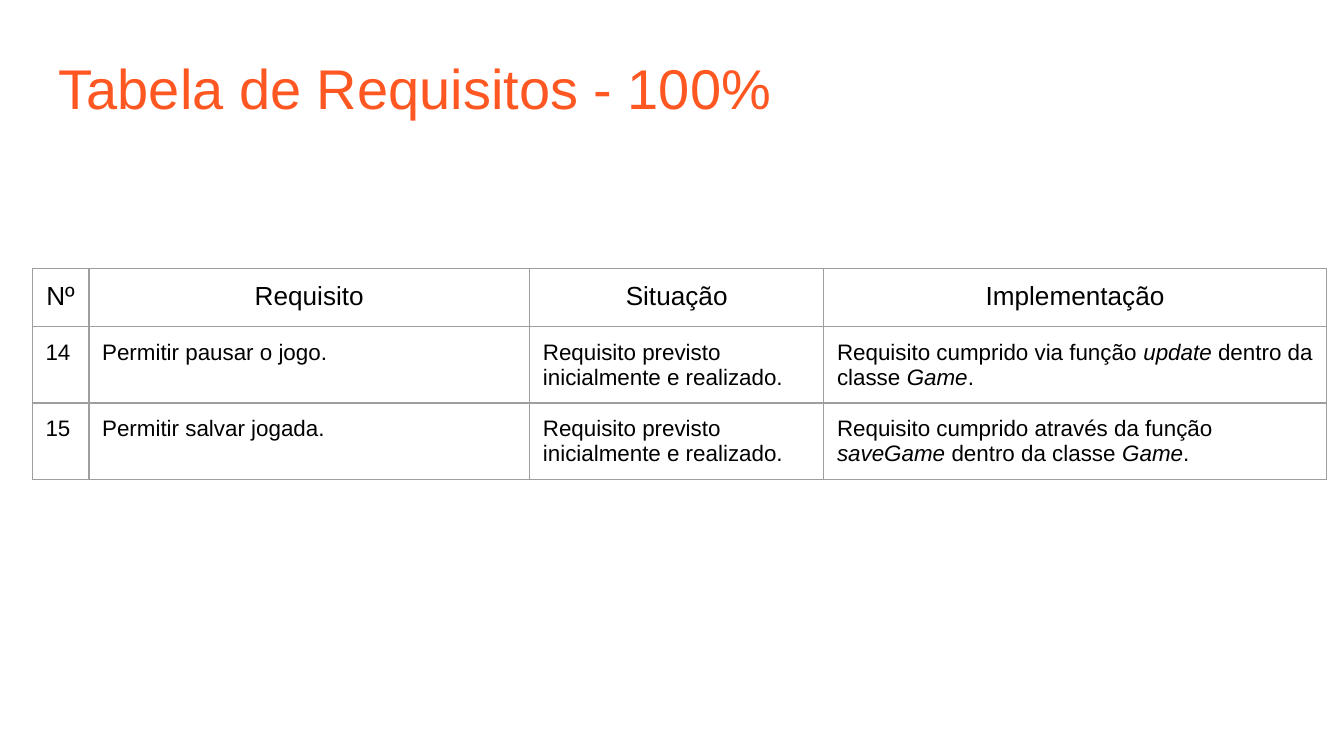
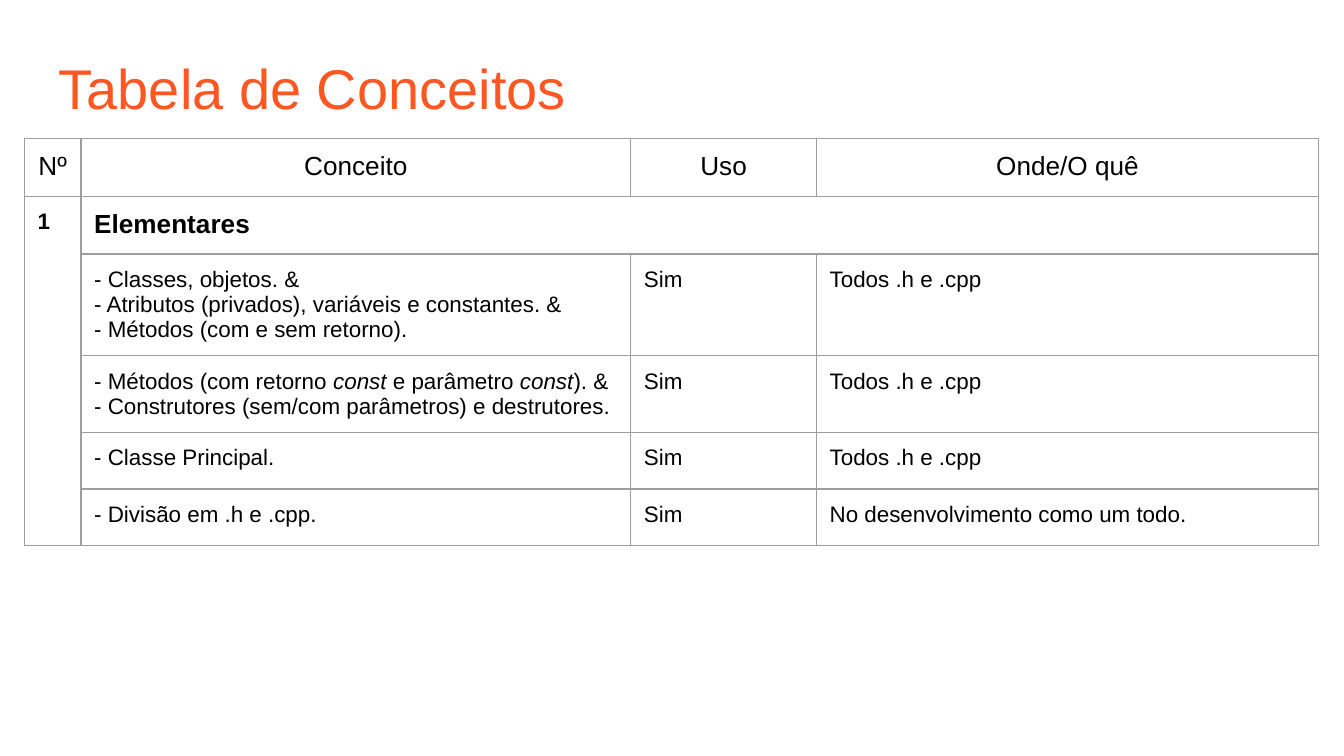
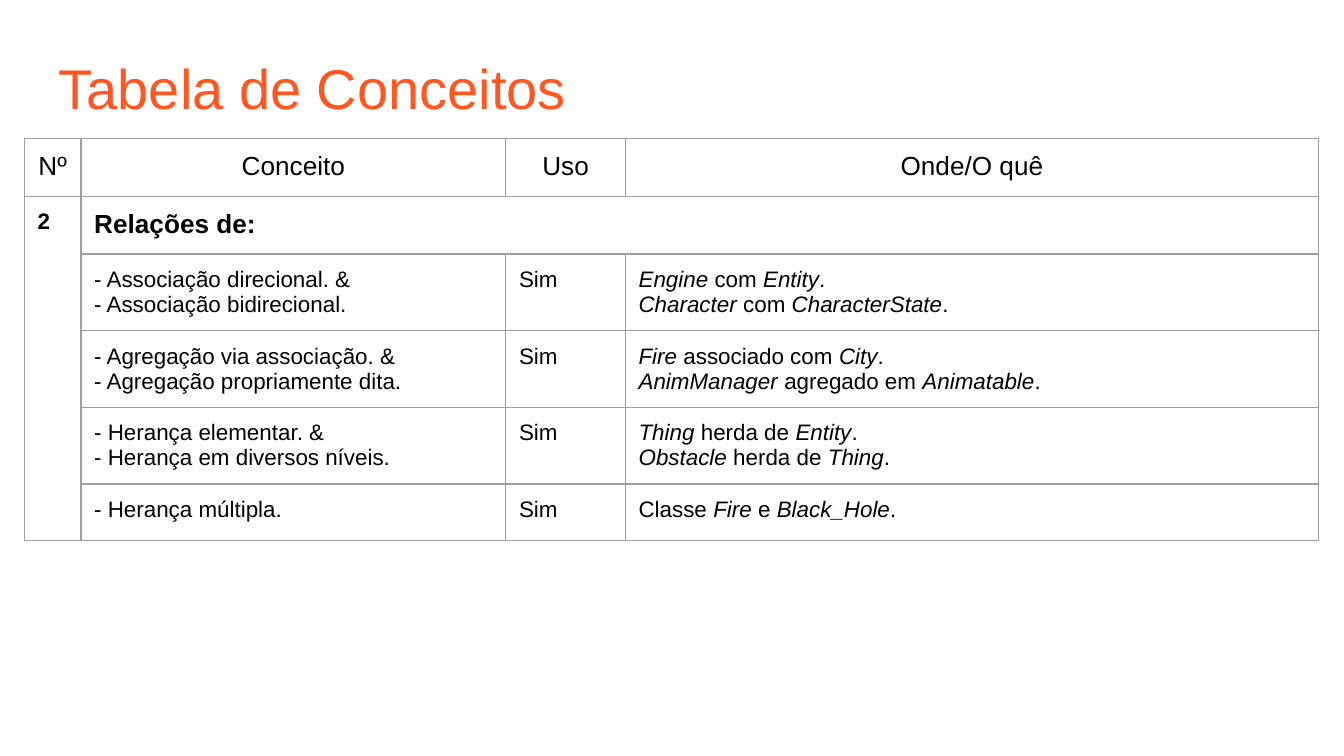
from dataclasses import dataclass
from typing import Any

from lxml import etree
from pptx import Presentation
from pptx import util as u
from pptx.dml.color import RGBColor
from pptx.enum import text
from pptx.oxml.ns import qn

ORANGE, BLACK, GREY = "FF5722", "000000", "9E9E9E"
FONT = "Arial"
TITLE_ONLY = 5
TABLE_WIDTH = 24.46
NUMBER_WIDTH = 1.07
HEADER_HEIGHT, ROW_HEIGHT = 1.09, 1.07
INSET = u.Cm(0.25)
MARGINS = {f"margin_{side}": INSET for side in ("left", "right", "top", "bottom")}
TITLE_PLACE = {"left": u.Cm(0.86), "top": u.Cm(0.64), "width": u.Cm(23.67), "height": u.Cm(1.6)}
TITLE_FRAME = {
    **MARGINS,
    "word_wrap": True,
    "auto_size": text.MSO_AUTO_SIZE.NONE,
    "vertical_anchor": text.MSO_ANCHOR.TOP,
}
TITLE_FORMAT = {"name": FONT, "size": u.Pt(30), "bold": False}
HEADER_FORMAT = {"name": FONT, "size": u.Pt(14), "bold": False}
BODY_FORMAT = {**HEADER_FORMAT, "size": u.Pt(12)}
SECTION_FORMAT = {**HEADER_FORMAT, "bold": True}
NUMBER_FORMAT = {**BODY_FORMAT, "bold": True}


@dataclass(frozen=True)
class TableSlide:
    title: str
    left: float
    top: float
    middle_widths: tuple[float, float]
    header: tuple[str, ...]
    rows: tuple[tuple[str, ...], ...]
    section: tuple[str, str] | None = None


CONCEPT_HEADER = ("Nº", "Conceito", "Uso", "Onde/O quê")
PLANNED = "Requisito previsto inicialmente e realizado."
SLIDES = (
    TableSlide(
        "Tabela de Requisitos - 100%", 0.61, 5.08, (8.33, 5.56),
        ("Nº", "Requisito", "Situação", "Implementação"),
        (
            ("14", "Permitir pausar o jogo.", PLANNED,
             "Requisito cumprido via função *update* dentro da classe *Game*."),
            ("15", "Permitir salvar jogada.", PLANNED,
             "Requisito cumprido através da função *saveGame* dentro da classe *Game*."),
        ),
    ),
    TableSlide(
        "Tabela de Conceitos", 0.46, 2.62, (10.39, 3.51), CONCEPT_HEADER,
        (
            ("", "- Classes, objetos. &\n- Atributos (privados), variáveis e constantes. &\n"
             "- Métodos (com e sem retorno).", "Sim", "Todos .h e .cpp"),
            ("", "- Métodos (com retorno *const* e parâmetro *const*). &\n"
             "- Construtores (sem/com parâmetros) e destrutores.", "Sim", "Todos .h e .cpp"),
            ("", "- Classe Principal.", "Sim", "Todos .h e .cpp"),
            ("", "- Divisão em .h e .cpp.", "Sim", "No desenvolvimento como um todo."),
        ),
        ("1", "Elementares"),
    ),
    TableSlide(
        "Tabela de Conceitos", 0.46, 2.62, (8.03, 2.26), CONCEPT_HEADER,
        (
            ("", "- Associação direcional. &\n- Associação bidirecional.", "Sim",
             "*Engine* com *Entity*.\n*Character* com *CharacterState*."),
            ("", "- Agregação via associação. &\n- Agregação propriamente dita.", "Sim",
             "*Fire *associado com *City*.\n*AnimManager *agregado em *Animatable*."),
            ("", "- Herança elementar. &\n- Herança em diversos níveis.", "Sim",
             "*Thing* herda de *Entity*.\n*Obstacle* herda de *Thing*."),
            ("", "- Herança múltipla.", "Sim", "Classe *Fire* e *Black_Hole*."),
        ),
        ("2", "Relações de:"),
    ),
)


def color(value: str) -> RGBColor:
    """Turn a hex string into a colour."""
    return RGBColor.from_string(value)


def apply(target: Any, values: dict[str, Any]) -> None:
    """Set each named attribute of the target."""
    for name, value in values.items():
        setattr(target, name, value)


def write(frame: Any, content: str, style: dict[str, Any], ink: str, alignment: Any) -> None:
    """Write one paragraph per line, with italics between asterisks."""
    for number, line in enumerate(content.split("\n")):
        paragraph = frame.add_paragraph() if number else frame.paragraphs[0]
        paragraph.alignment = alignment
        for position, part in enumerate(line.split("*")):
            if part:
                run = paragraph.add_run()
                run.text = part
                apply(run.font, {**style, "italic": position % 2 == 1})
                run.font.color.rgb = color(ink)


def add_borders(cell: Any) -> None:
    """Draw a thin grey line on every side of a cell."""
    properties = cell._tc.get_or_add_tcPr()
    for index, side in enumerate(("lnL", "lnR", "lnT", "lnB")):
        line = etree.Element(qn(f"a:{side}"), w=str(u.Pt(0.75)))
        fill = etree.SubElement(line, qn("a:solidFill"))
        etree.SubElement(fill, qn("a:srgbClr"), val=GREY)
        properties.insert(index, line)


def fill_row(table: Any, row: int, values: tuple[str, ...], styles: list[dict[str, Any]],
             alignment: Any = text.PP_ALIGN.LEFT) -> None:
    """Write the cells of one table row."""
    for column, (value, style) in enumerate(zip(values, styles)):
        if value:
            write(table.cell(row, column).text_frame, value, style, BLACK, alignment)


def add_title(slide: Any, title: str) -> None:
    """Place and format the slide title."""
    shape = slide.shapes.title
    apply(shape, TITLE_PLACE)
    apply(shape.text_frame, TITLE_FRAME)
    write(shape.text_frame, title, TITLE_FORMAT, ORANGE, text.PP_ALIGN.LEFT)
    shape.text_frame.paragraphs[0].line_spacing = 1.1


def add_grid(slide: Any, content: TableSlide) -> None:
    """Add the table with its header, optional section and body rows."""
    first = 2 if content.section else 1
    count = first + len(content.rows)
    heights = [HEADER_HEIGHT] * 2 + [ROW_HEIGHT] * (count - 2)
    last_width = TABLE_WIDTH - NUMBER_WIDTH - sum(content.middle_widths)
    widths = (NUMBER_WIDTH, *content.middle_widths, last_width)
    table = slide.shapes.add_table(
        count, len(widths), u.Cm(content.left), u.Cm(content.top),
        u.Cm(TABLE_WIDTH), u.Cm(sum(heights)),
    ).table
    apply(table, {"first_row": False, "horz_banding": False})
    for column, width in zip(table.columns, widths):
        column.width = u.Cm(width)
    for row, height in zip(table.rows, heights):
        row.height = u.Cm(height)
    for cell in table.iter_cells():
        apply(cell, MARGINS)
        cell.fill.background()
        add_borders(cell)
    fill_row(table, 0, content.header, [HEADER_FORMAT] * 4, text.PP_ALIGN.CENTER)
    if content.section:
        table.cell(1, 0).merge(table.cell(count - 1, 0))
        table.cell(1, 1).merge(table.cell(1, 3))
        fill_row(table, 1, content.section, [NUMBER_FORMAT, SECTION_FORMAT])
    for row, values in enumerate(content.rows, first):
        fill_row(table, row, values, [BODY_FORMAT] * 4)


def main() -> None:
    """Build and save the presentation."""
    presentation = Presentation()
    apply(presentation, {"slide_width": u.Cm(25.4), "slide_height": u.Cm(14.29)})
    for content in SLIDES:
        slide = presentation.slides.add_slide(presentation.slide_layouts[TITLE_ONLY])
        add_title(slide, content.title)
        add_grid(slide, content)
    presentation.save("out.pptx")


if __name__ == "__main__":
    main()
